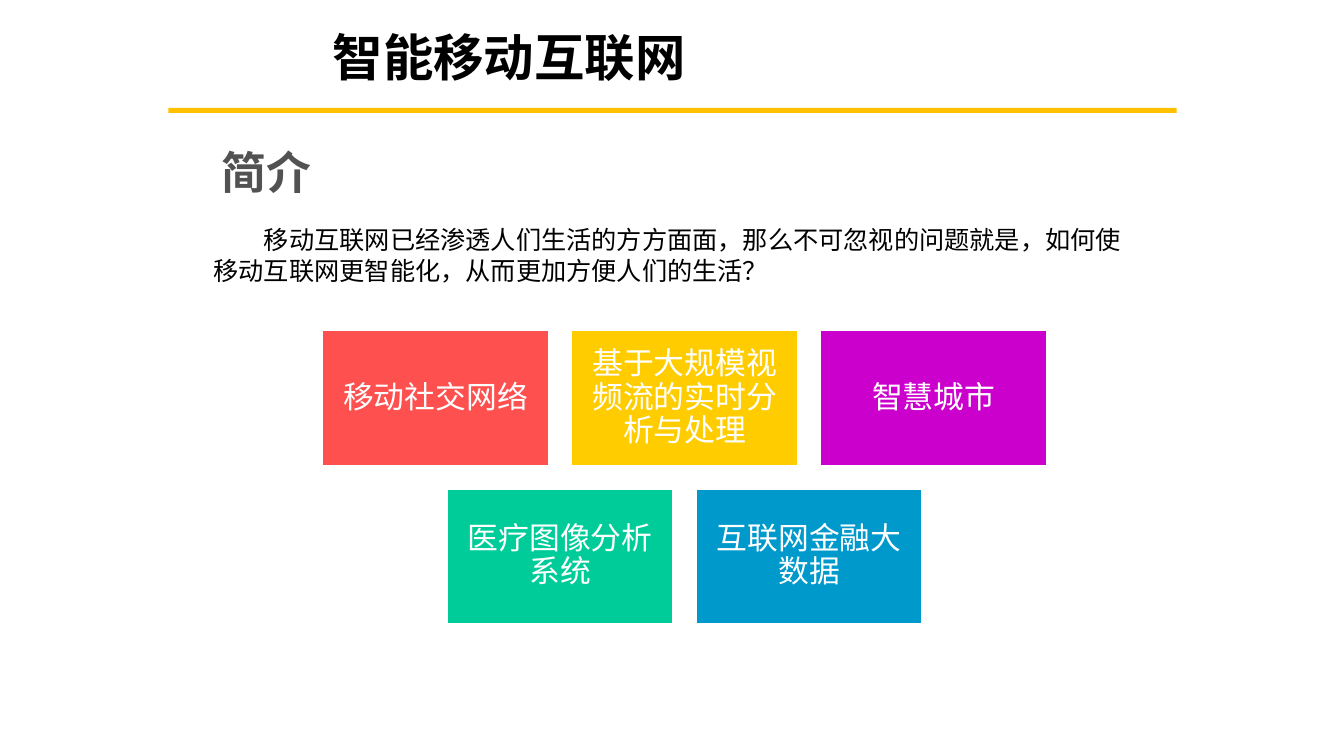
from pptx import Presentation
from pptx.dml.color import RGBColor as RGB
from pptx.enum.shapes import MSO_SHAPE as Shape
from pptx.enum.text import MSO_ANCHOR as Anchor, MSO_AUTO_SIZE as Auto, PP_ALIGN as Align
from pptx.oxml.ns import qn
from pptx.util import Inches, Pt

BLACK, WHITE, GREY = RGB(0, 0, 0), RGB(255, 255, 255), RGB(0x52, 0x52, 0x52)
GOLD, RED, YELLOW = RGB(0xFF, 0xC0, 0), RGB(0xFF, 0x50, 0x50), RGB(0xFF, 0xCC, 0)
PURPLE, GREEN, BLUE = RGB(0xCC, 0, 0xCC), RGB(0, 0xCC, 0x99), RGB(0, 0x99, 0xCC)
SANS = "Noto Sans CJK SC"

TITLE = "智能移动互联网"
HEAD = "简介"
INTRO = "移动互联网已经渗透人们生活的方方面面，那么不可忽视的问题就是，如何使移动互联网更智能化，从而更加方便人们的生活？"
ROWS = [
    [("移动社交网络", RED), ("基于大规模视频流的实时分析与处理", YELLOW), ("智慧城市", PURPLE)],
    [("医疗图像分析系统", GREEN), ("互联网金融大数据", BLUE)],
]
MID, TOP = 6.79, 3.28
WIDE, HIGH, GAP = 2.24, 1.34, 0.23

TITLE_FONT = dict(name="Arial", size=Pt(36), bold=True)
HEAD_FONT = dict(name=SANS, size=Pt(32), bold=True)
BODY_FONT = dict(name=SANS, size=Pt(18))
TILE_FONT = dict(name=SANS, size=Pt(22))
TILE_FRAME = dict(vertical_anchor=Anchor.MIDDLE, **{
    "margin_" + side: Inches(0.09) for side in ("left", "right", "top", "bottom")})


def apply(item, form):
    """Set each value of form on item."""
    for key, value in form.items():
        setattr(item, key, value)


def place(shape, box):
    """Move and size a shape to a box in inches."""
    apply(shape, dict(zip(("left", "top", "width", "height"), map(Inches, box))))


def write(shape, text, font, color, align=Align.LEFT, wrap=True):
    """Fill a shape with one styled paragraph and return it."""
    frame = shape.text_frame
    apply(frame, dict(word_wrap=wrap, auto_size=Auto.NONE))
    para = frame.paragraphs[0]
    para.alignment = align
    run = para.add_run()
    run.text = text
    apply(run.font, font)
    run.font.color.rgb = color
    east = run.font._element.makeelement(qn("a:ea"), {"typeface": SANS})
    run.font._element.append(east)
    return para


def block(slide, box, color):
    """Add a plain filled rectangle."""
    shape = slide.shapes.add_shape(Shape.RECTANGLE, *map(Inches, box))
    shape.shadow.inherit = False
    shape.fill.solid()
    shape.fill.fore_color.rgb = color
    shape.line.fill.background()
    return shape


def tile(slide, box, text, color):
    """Add a coloured topic tile with centred text."""
    shape = block(slide, box, color)
    shape.line.color.rgb = WHITE
    shape.line.width = Pt(1)
    apply(shape.text_frame, TILE_FRAME)
    write(shape, text, TILE_FONT, WHITE, Align.CENTER).line_spacing = 0.9


deck = Presentation()
deck.slide_width, deck.slide_height = Inches(13.33), Inches(7.5)
slide = deck.slides.add_slide(deck.slide_layouts[5])

block(slide, (1.67, 1.07, 10, 0.05), GOLD)
title = slide.shapes.title
place(title, (3.2, 0.21, 4.09, 0.71))
title.text_frame.vertical_anchor = Anchor.TOP
write(title, TITLE, TITLE_FONT, BLACK)

intro = slide.shapes.add_textbox(*map(Inches, (2.02, 2.18, 9.37, 0.71)))
para = write(intro, INTRO, BODY_FONT, BLACK)
para._p.get_or_add_pPr().set("indent", str(Inches(0.5)))
head = slide.shapes.add_textbox(*map(Inches, (2.1, 1.39, 1.1, 0.64)))
write(head, HEAD, HEAD_FONT, GREY, wrap=False)

for r, row in enumerate(ROWS):
    left = MID - (len(row) * (WIDE + GAP) - GAP) / 2
    for c, (text, color) in enumerate(row):
        box = left + c * (WIDE + GAP), TOP + r * (HIGH + GAP), WIDE, HIGH
        tile(slide, box, text, color)

deck.save("out.pptx")
